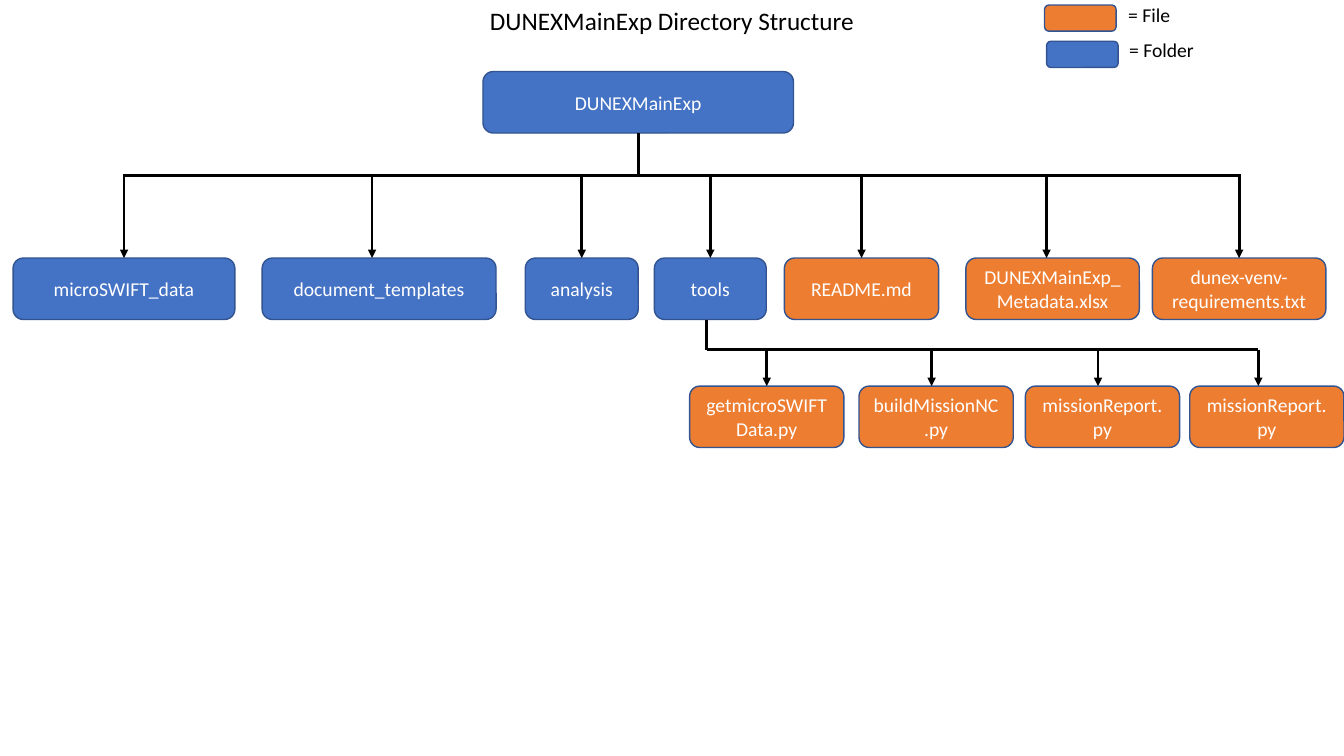
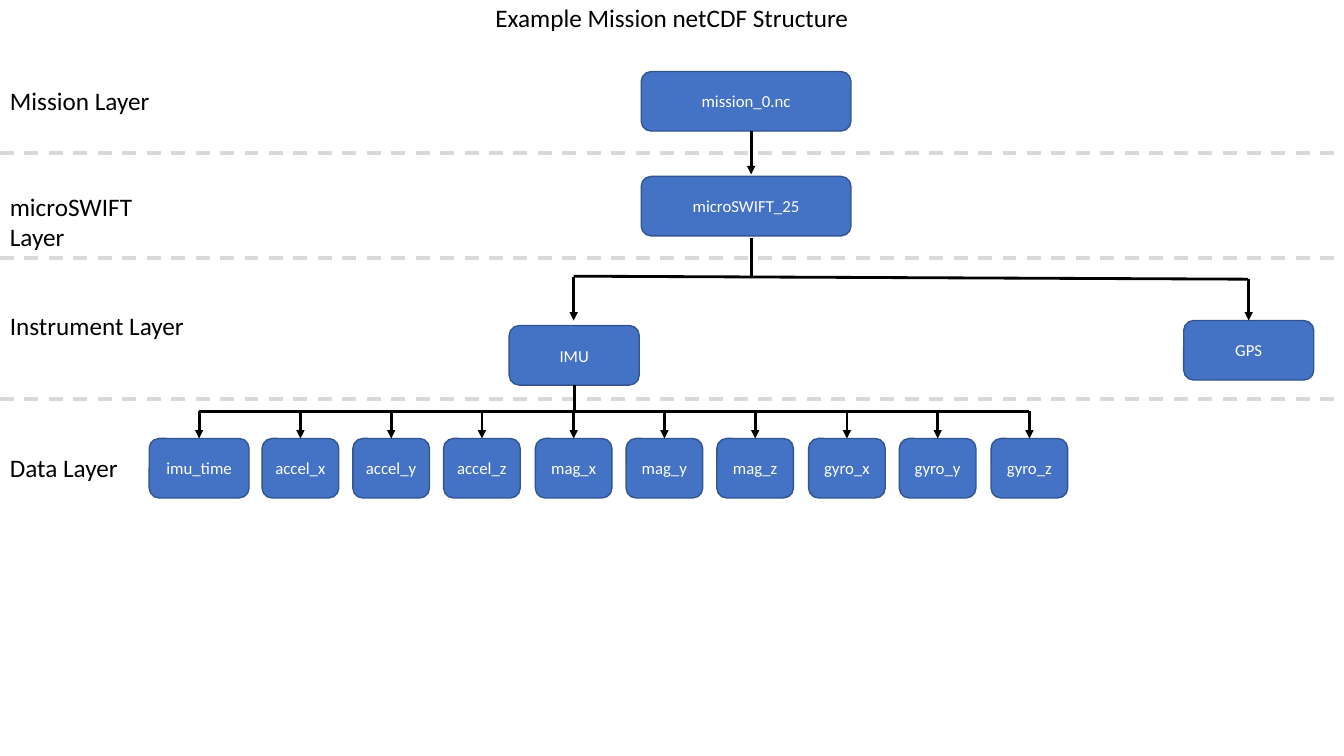
import pptx
import pptx.util
import pptx.dml.color
import pptx.enum.dml
import pptx.enum.shapes
import pptx.enum.text
import pptx.oxml.ns
import lxml.etree
from dataclasses import dataclass
from typing import Optional

EMU_PER_PX = 9144
WIDTH, HEIGHT = 1333, 750
FONT = "Calibri"
GLUE_TOLERANCE = 3
TOP, BOTTOM = 0, 2
COLORS = {
    "folder": "4472C4",
    "file": "ED7D31",
    "outline": "325491",
    "branch": "000000",
    "divider": "D9D9D9",
    "ink": "000000",
    "paper": "FFFFFF",
}


@dataclass(frozen=True)
class Node:
    text: str
    left: int
    top: int
    width: int
    height: int
    kind: str = "folder"
    drop: Optional[int] = None

    @property
    def center(self) -> int:
        return self.left + self.width // 2

    @property
    def drop_x(self) -> int:
        return self.center if self.drop is None else self.drop


@dataclass(frozen=True)
class Label:
    text: str
    left: int
    top: int
    width: int
    height: int
    size: int


def px(length: int) -> pptx.util.Emu:
    return pptx.util.Emu(length * EMU_PER_PX)


def rgb(name: str) -> pptx.dml.color.RGBColor:
    return pptx.dml.color.RGBColor.from_string(COLORS[name])


def write(frame, text: str, size: int, color: str, centered: bool) -> None:
    paragraph = frame.paragraphs[0]
    align = pptx.enum.text.PP_ALIGN
    paragraph.alignment = align.CENTER if centered else align.LEFT
    run = paragraph.add_run()
    run.text = text
    run.font.name = FONT
    run.font.size = pptx.util.Pt(size)
    run.font.color.rgb = rgb(color)


def add_label(slide, label: Label, centered: bool = False) -> None:
    box = slide.shapes.add_textbox(
        px(label.left), px(label.top), px(label.width), px(label.height))
    box.text_frame.word_wrap = centered
    write(box.text_frame, label.text, label.size, "ink", centered)


def add_titled_slide(deck, title: str, top: int):
    slide = deck.slides.add_slide(deck.slide_layouts[6])
    add_label(slide, Label(title, 0, top, WIDTH, 71, 18), centered=True)
    return slide


def add_node(slide, node: Node, size: int):
    box = slide.shapes.add_shape(
        pptx.enum.shapes.MSO_SHAPE.ROUNDED_RECTANGLE,
        px(node.left), px(node.top), px(node.width), px(node.height))
    box.shadow.inherit = False
    box.fill.solid()
    box.fill.fore_color.rgb = rgb(node.kind)
    box.line.color.rgb = rgb("outline")
    box.line.width = pptx.util.Pt(1)
    if node.text:
        box.text_frame.word_wrap = True
        box.text_frame.vertical_anchor = pptx.enum.text.MSO_ANCHOR.MIDDLE
        write(box.text_frame, node.text, size, "paper", True)
    return box


def add_line(slide, x1: int, y1: int, x2: int, y2: int, arrow: bool = False,
             color: str = "branch", weight: float = 2):
    line = slide.shapes.add_connector(
        pptx.enum.shapes.MSO_CONNECTOR.STRAIGHT, px(x1), px(y1), px(x2), px(y2))
    line.line.color.rgb = rgb(color)
    line.line.width = pptx.util.Pt(weight)
    qn = pptx.oxml.ns.qn
    properties = line.element.spPr
    if arrow:
        outline = properties.find(qn("a:ln"))
        lxml.etree.SubElement(outline, qn("a:tailEnd"), type="triangle")
    lxml.etree.SubElement(properties, qn("a:effectLst"))
    return line


def add_divider(slide, y: int) -> None:
    divider = add_line(slide, 0, y, WIDTH, y, color="divider", weight=2.5)
    divider.line.dash_style = pptx.enum.dml.MSO_LINE.DASH


def add_drop(slide, node: Node, box, bar_y: int) -> None:
    drop = add_line(slide, node.drop_x, bar_y, node.drop_x, node.top, arrow=True)
    if abs(node.drop_x - node.center) <= GLUE_TOLERANCE:
        drop.end_connect(box, TOP)
        drop.begin_x = drop.end_x


def add_stem(slide, box, x: int, top: int, bar_y: int) -> None:
    stem = add_line(slide, x, top, x, bar_y)
    stem.begin_connect(box, BOTTOM)
    stem.end_x = stem.begin_x


def add_children(slide, nodes: list[Node], bar_y: int, size: int,
                 bar_left: Optional[int] = None) -> dict:
    boxes = {}
    for node in nodes:
        box = add_node(slide, node, size)
        add_drop(slide, node, box, bar_y)
        boxes[node.text] = box
    left = nodes[0].drop_x if bar_left is None else bar_left
    add_line(slide, left, bar_y, nodes[-1].drop_x, bar_y)
    return boxes


def build_directory(deck) -> None:
    slide = add_titled_slide(deck, "DUNEXMainExp Directory Structure", 0)

    for kind, name, left, top, text_left, text_top in (
            ("file", "= File", 1036, 5, 1109, -2),
            ("folder", "= Folder", 1038, 41, 1110, 33)):
        add_node(slide, Node("", left, top, 71, 26, kind), 14)
        add_label(slide, Label(name, text_left, text_top, 85, 34, 14))

    root = Node("DUNEXMainExp", 479, 71, 308, 61)
    root_box = add_node(slide, root, 14)
    entries = [
        Node(text, left, 256, width, 61, kind, drop)
        for text, left, width, kind, drop in (
            ("microSWIFT_data", 13, 220, "folder", 122),
            ("document_templates", 260, 232, "folder", 369),
            ("analysis", 521, 112, "folder", 576),
            ("tools", 649, 111, "folder", 705),
            ("README.md", 778, 153, "file", 854),
            ("DUNEXMainExp_Metadata.xlsx", 958, 172, "file", 1038),
            ("dunex-venv-requirements.txt", 1143, 172, "file", 1231),
        )
    ]
    add_stem(slide, root_box, root.center, 132, 174)
    add_children(slide, entries, 174, 14)

    tools_x = 701
    add_line(slide, tools_x, 317, tools_x, 347)
    scripts = [
        Node(text, left, 383, 153, 61, "file", drop)
        for text, left, drop in (
            ("getmicroSWIFTData.py", 684, 757),
            ("buildMissionNC.py", 852, 924),
            ("missionReport.py", 1017, 1089),
            ("missionReport.py", 1180, 1248),
        )
    ]
    add_children(slide, scripts, 347, 14, bar_left=tools_x)


def build_mission(deck) -> None:
    slide = add_titled_slide(deck, "Example Mission netCDF Structure", -3)
    for y in (152, 256, 396):
        add_divider(slide, y)
    for layer, top in (("Mission Layer", 80), ("microSWIFT Layer", 185),
                       ("Instrument Layer", 303), ("Data Layer", 444)):
        add_label(slide, Label(layer, 0, top, 200, 40, 18))

    trunk_x = 745
    for text, top in (("mission_0.nc", 71), ("microSWIFT_25", 175)):
        add_node(slide, Node(text, 636, top, 208, 59), 12)
    add_line(slide, trunk_x, 130, trunk_x, 173, arrow=True)
    add_line(slide, trunk_x, 236, trunk_x, 276)

    imu = Node("IMU", 505, 323, 129, 59)
    gps = Node("GPS", 1174, 318, 129, 59)
    add_line(slide, imu.center, 274, gps.center, 277)
    imu_box = add_node(slide, imu, 12)
    add_line(slide, imu.center, 275, imu.center, 318, arrow=True)
    add_drop(slide, gps, add_node(slide, gps, 12), 277)

    axes = [f"{sensor}_{axis}" for sensor in ("accel", "mag", "gyro") for axis in "xyz"]
    first_left, last_left = 260, 983
    variables = [Node("imu_time", 148, 435, 99, 59)] + [
        Node(text, first_left + (last_left - first_left) * i // (len(axes) - 1),
             435, 76, 59)
        for i, text in enumerate(axes)
    ]
    add_children(slide, variables, 408, 12)
    add_stem(slide, imu_box, imu.center, 382, 408)


def main() -> None:
    deck = pptx.Presentation()
    deck.slide_width = px(WIDTH)
    deck.slide_height = px(HEIGHT)
    build_directory(deck)
    build_mission(deck)
    deck.save("out.pptx")


if __name__ == "__main__":
    main()
